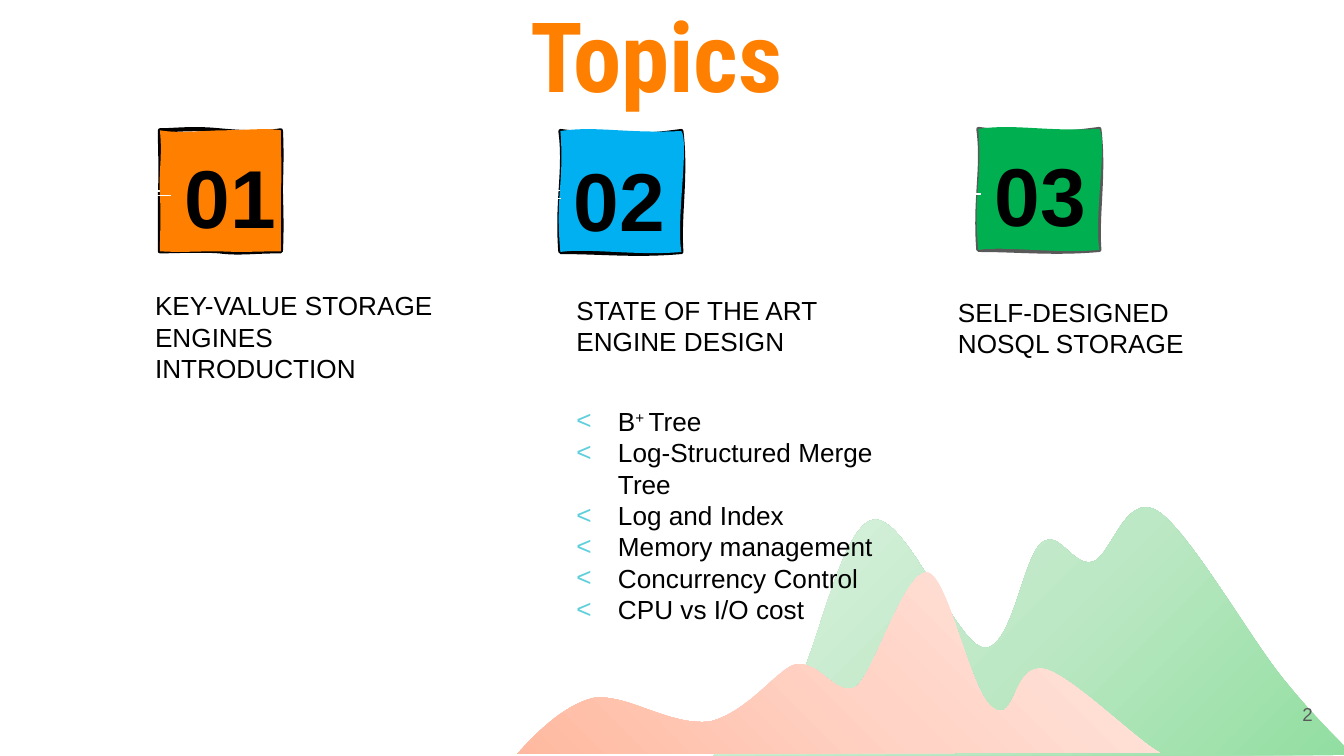
from lxml import etree
from pptx import Presentation, util as u
from pptx.dml.color import RGBColor
from pptx.enum import shapes, text
from pptx.oxml import ns

BLACK = RGBColor(0x00, 0x00, 0x00)
WHITE = RGBColor(0xFF, 0xFF, 0xFF)
GRAY = RGBColor(0x59, 0x59, 0x59)
ORANGE = RGBColor(0xFF, 0x80, 0x01)
BLUE = RGBColor(0x00, 0xB0, 0xF0)
GREEN = RGBColor(0x00, 0xB0, 0x50)
TEAL = RGBColor(0x5F, 0xD0, 0xDB)
GREEN_FADE = [RGBColor(0x91, 0xDE, 0xA0), RGBColor(0xBD, 0xE8, 0xC5), RGBColor(0xDF, 0xF3, 0xE3)]
PINK_FADE = [RGBColor(0xFF, 0xB9, 0xA0), RGBColor(0xFF, 0xD3, 0xC5), RGBColor(0xFF, 0xE9, 0xE3)]

presentation = Presentation()
presentation.slide_width = u.Inches(10)
presentation.slide_height = u.Inches(5.625)
column = presentation.slide_width / 100
row = presentation.slide_height / 56.25
slide = presentation.slides.add_slide(presentation.slide_layouts[6])


def draw_curves(outlines, left=0, top=0):
    placed = [[(round((left + x) * column), round((top + y) * row)) for x, y in points]
              for points, _ in outlines]
    anchors = placed[0][::3]
    builder = slide.shapes.build_freeform(*anchors[0], scale=1.0)
    builder.add_line_segments(anchors[1:], close=False)
    shape = builder.convert_to_shape()
    shape.shadow.inherit = False
    shape.line.fill.background()
    path_list = shape.element.spPr.find(ns.qn("a:custGeom")).find(ns.qn("a:pathLst"))
    for child in list(path_list):
        path_list.remove(child)
    for spots, (_, settings) in zip(placed, outlines):
        outline = etree.SubElement(path_list, ns.qn("a:path"), w=str(shape.width), h=str(shape.height), **settings)
        for i, (x, y) in enumerate(spots):
            if i == 0:
                segment = etree.SubElement(outline, ns.qn("a:moveTo"))
            elif i % 3 == 1:
                segment = etree.SubElement(outline, ns.qn("a:cubicBezTo"))
            etree.SubElement(segment, ns.qn("a:pt"), x=str(x - shape.left), y=str(y - shape.top))
        if spots[0] == spots[-1]:
            etree.SubElement(outline, ns.qn("a:close"))
    return shape


def write(box, paragraphs, size, color=BLACK, bold=False, font="Arial",
          anchor=text.MSO_ANCHOR.MIDDLE, align=text.PP_ALIGN.LEFT):
    left, top, width, height = box
    frame = slide.shapes.add_textbox(round(left * column), round(top * row),
                                     round(width * column), round(height * row)).text_frame
    frame.word_wrap = True
    frame.vertical_anchor = anchor
    frame.margin_left = frame.margin_right = round(column)
    frame.margin_top = frame.margin_bottom = round(row)
    for i, pieces in enumerate(paragraphs):
        paragraph = frame.add_paragraph() if i else frame.paragraphs[0]
        paragraph.alignment = align
        for piece in pieces:
            run = paragraph.add_run()
            run.text = piece
            run.font.size = u.Pt(size)
            run.font.name = font
            run.font.bold = bold
            run.font.color.rgb = color
    return frame


green_hills = [
    (53.1, 56.2), (54, 55.6), (56.8, 55), (58.8, 52.1), (60.7, 49.1), (62.5, 39.3), (64.9, 38.7),
    (67.3, 38), (71.1, 47.9), (73.2, 48.2), (75.3, 48.4), (76.1, 41.5), (77.5, 40.4),
    (78.8, 39.3), (79.8, 42.2), (81.3, 41.8), (82.7, 41.4), (83.7, 36.6), (86.1, 38),
    (88.4, 39.4), (92.9, 47.3), (95.4, 50.4), (97.8, 53.4), (99.8, 55.2), (100.7, 56.2)]
pink_hills = [
    (38.5, 56.1), (39.3, 55.2), (41.9, 52.3), (44.4, 51.9), (47, 51.8), (49.8, 54), (52.8, 53.7),
    (55.6, 53), (57.6, 50.1), (59, 49.5), (60.9, 48.9), (62.2, 52), (63.7, 51.1),
    (65.1, 50), (67.3, 42.4), (69, 42.6), (70.6, 42.9), (72.2, 51.7), (73.9, 52.7),
    (75.7, 53.9), (75.3, 49.2), (77.8, 49.8), (79.9, 50.4), (84.8, 55.3), (86.3, 56)]
for points, fade, kind, settings in (
        (green_hills, GREEN_FADE, "a:lin", {"ang": "13500000", "scaled": "0"}),
        (pink_hills, PINK_FADE, "a:path", {"path": "circle"})):
    shape = draw_curves([(points, {})])
    shape.fill.background()
    gradient = etree.Element(ns.qn("a:gradFill"), rotWithShape="1")
    stops = etree.SubElement(gradient, ns.qn("a:gsLst"))
    for i, color in enumerate(fade):
        stop = etree.SubElement(stops, ns.qn("a:gs"), pos=str(i * 50000))
        etree.SubElement(stop, ns.qn("a:srgbClr"), val=str(color))
    direction = etree.SubElement(gradient, ns.qn(kind), settings)
    if kind == "a:path":
        etree.SubElement(direction, ns.qn("a:fillToRect"), l="0", t="100000", r="100000", b="0")
    properties = shape.element.spPr
    properties.replace(properties.find(ns.qn("a:noFill")), gradient)

square_edge = [
    (0, 0), (1.1, 0), (2.4, -0.2), (4.4, 0), (6.5, 0.2), (7.8, 0.2), (9, 0),
    (9.1, 2), (9, 3.5), (9, 4.4), (9, 5.4), (9.1, 6.9), (9, 9),
    (6.9, 9), (5.9, 9.2), (4.4, 9), (3, 8.9), (1, 9), (0, 9),
    (0, 8), (0, 6.2), (0, 4.7), (0.1, 3.2), (0, 1.1), (0, 0)]
square_face = [
    (0, 0), (1.2, 0.2), (2.4, 0.1), (4.4, 0), (6.5, 0), (7.8, -0.2), (9, 0),
    (9, 1.8), (9.1, 3.2), (9, 4.4), (9, 5.7), (9, 7.4), (9, 9),
    (7.4, 9), (6.2, 9.1), (4.4, 9), (2.6, 9), (1.6, 9.1), (0, 9),
    (0, 7.4), (0.1, 6.7), (0, 4.8), (-0.1, 2.9), (0.2, 2), (0, 0)]
wavy_edge = [
    (0, 0), (3.8, 0.5), (6.1, 0.4), (9, 0), (9.4, 3.4), (8.8, 6.3), (9, 9),
    (5.6, 9.3), (3.1, 9), (0, 9), (-0.3, 5.2), (0.4, 2.9), (0, 0)]
wavy_face = [
    (0, 0), (2.7, -0.4), (4.8, 0.2), (9, 0), (9.6, 0.9), (8.6, 6.6), (9, 9),
    (5.8, 9.3), (2, 8.7), (0, 9), (-0.4, 4.9), (0.3, 3.8), (0, 0)]
topics = [
    (square_edge, square_face, 11.9, 9.7, ORANGE, BLACK, (11.9, 14.2, 12.7, 14.55, 9.4),
     "01", (12.75, 11.4, 19.2, 6.3), "KEY-VALUE STORAGE ENGINES INTRODUCTION", (10.55, 23.25, 23.5, 6.3)),
    (wavy_edge, wavy_face, 41.7, 9.75, BLUE, BLACK, (41.7, 14.2, 41.71, 14.75, 39.2),
     "02", (41.7, 11.6, 20.8, 6.3), "STATE OF THE ART ENGINE DESIGN", (41.9, 21.25, 24.6, 6.3)),
    (wavy_edge, wavy_face, 72.8, 9.6, GREEN, GRAY, (73.5, 4.2, 73, 14.45, 70.5),
     "03", (73, 11.3, 19.2, 6.3), "SELF-DESIGNED NOSQL STORAGE", (70.3, 21.4, 24.6, 6.3))]

for edge, face, left, top, color, ink, bend, number, number_box, label, label_box in topics:
    square = draw_curves([(edge, {"fill": "none"}), (face, {"stroke": "0"})], left, top)
    square.fill.solid()
    square.fill.fore_color.rgb = color
    square.line.color.rgb = ink
    square.line.width = u.Pt(2.25)

    x1, y1, x2, y2, turn = bend
    connector = slide.shapes.add_connector(
        shapes.MSO_CONNECTOR.ELBOW, round(x1 * column), round(y1 * row), round(x2 * column), round(y2 * row))
    connector.line.color.rgb = WHITE
    connector.line.width = u.Pt(0.75)
    properties = connector.element.spPr
    etree.SubElement(properties, ns.qn("a:effectLst"))
    adjustments = properties.find(ns.qn("a:prstGeom")).find(ns.qn("a:avLst"))
    share = round((turn - x1) / (x2 - x1) * 100000)
    etree.SubElement(adjustments, ns.qn("a:gd"), name="adj1", fmla=f"val {share}")

    write(number_box, [[number]], 44, bold=True)
    write(label_box, [[label]], 14, anchor=text.MSO_ANCHOR.BOTTOM)

designs = write((41.9, 29.15, 24.6, 15.5), [
    ["B", "+ ", "Tree"], ["Log-Structured Merge Tree"], ["Log and Index"],
    ["Memory management"], ["Concurrency Control"], ["CPU vs I/O cost"]],
    14, anchor=text.MSO_ANCHOR.TOP)
designs.paragraphs[0].runs[1].font._element.set("baseline", "30000")
for paragraph in designs.paragraphs:
    properties = paragraph._p.get_or_add_pPr()
    properties.set("marL", str(u.Inches(0.31)))
    properties.set("indent", str(u.Inches(-0.31)))
    bullet_color = etree.SubElement(properties, ns.qn("a:buClr"))
    etree.SubElement(bullet_color, ns.qn("a:srgbClr"), val=str(TEAL))
    etree.SubElement(properties, ns.qn("a:buFont"), typeface="Arial")
    etree.SubElement(properties, ns.qn("a:buChar"), char="<")

write((23.85, 3, 50, 6.3), [["Topics"]], 52, ORANGE, True, "Roboto Condensed",
      text.MSO_ANCHOR.BOTTOM, text.PP_ALIGN.CENTER)
write((92.65, 51, 6, 4.3), [["2"]], 10, GRAY, align=text.PP_ALIGN.RIGHT)

presentation.save("out.pptx")
